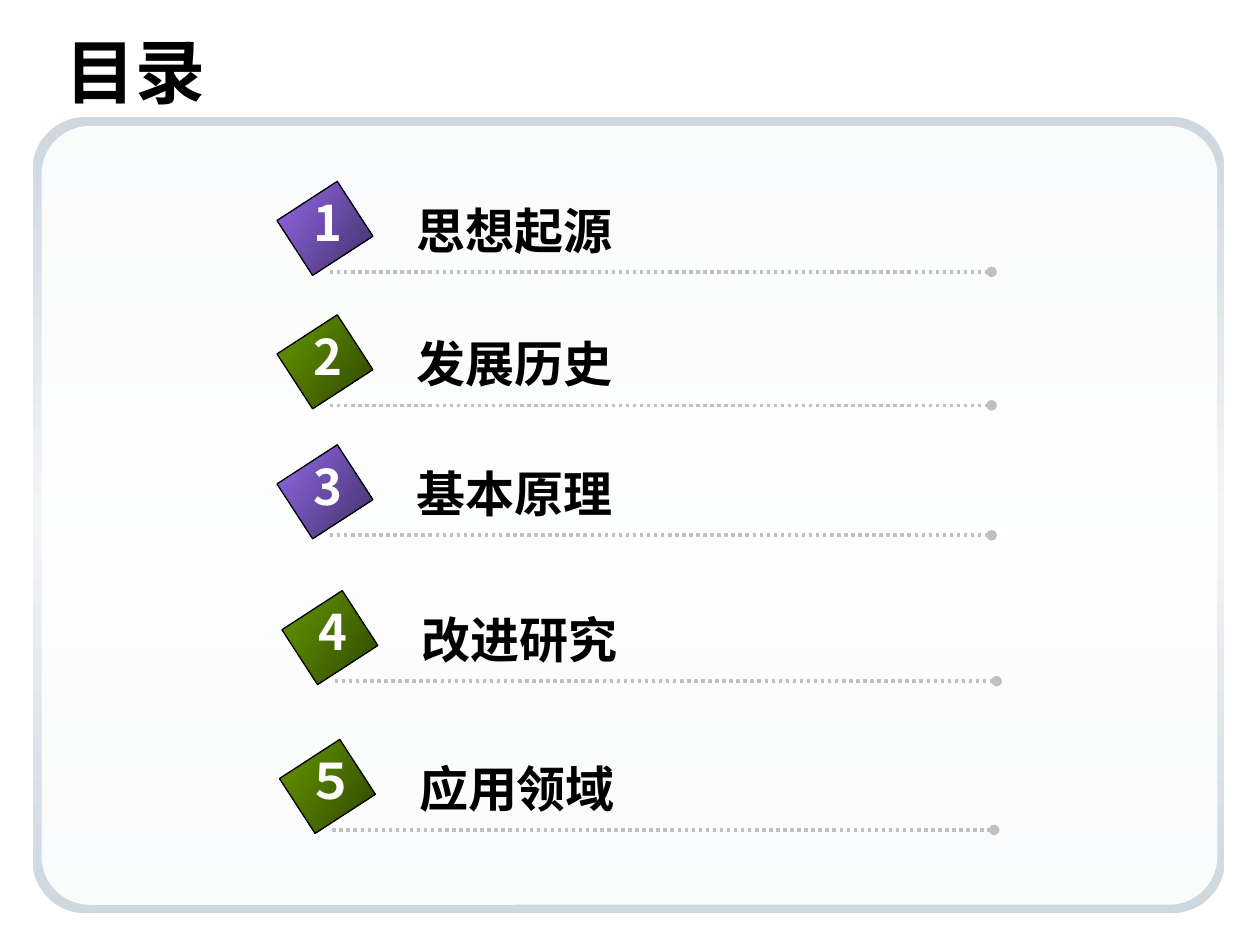
from lxml import etree
from pptx import Presentation
from pptx import util as u
from pptx.dml.color import RGBColor
from pptx.enum import dml, shapes, text
from pptx.oxml.ns import qn

BLACK = RGBColor(0x00, 0x00, 0x00)
WHITE = RGBColor(0xFF, 0xFF, 0xFF)
DOTS = RGBColor(0xC0, 0xC0, 0xC0)
FRAME = RGBColor(0xCF, 0xD7, 0xDF)
FRAME_LIGHT = RGBColor(0xF3, 0xF5, 0xF7)
PURPLE = (RGBColor(0x93, 0x69, 0xE7), RGBColor(0x43, 0x30, 0x6A))
GREEN = (RGBColor(0x66, 0x99, 0x00), RGBColor(0x2F, 0x46, 0x00))
SANS = "Noto Sans CJK SC"
SERIF = "Times New Roman"

# number, heading, colours, left and top of the row in cm
ROWS = [
    ("1", "思想起源", PURPLE, 5.89, 3.76),
    ("2", "发展历史", GREEN, 5.89, 6.45),
    ("3", "基本原理", PURPLE, 5.89, 9.07),
    ("4", "改进研究", GREEN, 5.99, 12.01),
    ("５", "应用领域", GREEN, 5.94, 15.01),
]


def fill_gradient(sp, colors, angle, rotates=True):
    """Spread the colours evenly; angle is clockwise from left to right."""
    sp.fill.gradient()
    sp.fill.gradient_angle = (360 - angle) % 360
    grad = sp._element.spPr.find(qn("a:gradFill"))
    grad.set("rotWithShape", "1" if rotates else "0")
    stops = grad.find(qn("a:gsLst"))
    for stop in list(stops):
        stops.remove(stop)
    for i, color in enumerate(colors):
        pos = 100000 * i // (len(colors) - 1)
        stop = etree.SubElement(stops, qn("a:gs"), pos=str(pos))
        etree.SubElement(stop, qn("a:srgbClr"), val=str(color))


def write(tf, content, size, color, font=SANS, align=text.PP_ALIGN.LEFT):
    tf.auto_size = text.MSO_AUTO_SIZE.NONE
    p = tf.paragraphs[0]
    p.alignment = align
    r = p.add_run()
    r.text = content
    r.font.size = u.Pt(size)
    r.font.bold = True
    r.font.name = font
    r.font.color.rgb = color
    etree.SubElement(r._r.get_or_add_rPr(), qn("a:ea"), typeface=SANS)


def add_label(parent, content, left, top, width, **fmt):
    tf = parent.add_textbox(u.Cm(left), u.Cm(top), u.Cm(width), u.Cm(1.45)).text_frame
    write(tf, content, 28, **fmt)
    tf.word_wrap = False


def add_panel(s, left, top, width, height, radius):
    sp = s.shapes.add_shape(shapes.MSO_SHAPE.ROUNDED_RECTANGLE,
                            u.Cm(left), u.Cm(top), u.Cm(width), u.Cm(height))
    sp.adjustments[0] = radius
    sp.shadow.inherit = False
    sp.line.fill.background()
    return sp


def add_frame(s):
    outer = add_panel(s, 0.66, 2.36, 24.03, 16.05, 0.066)
    fill_gradient(outer, (FRAME, FRAME_LIGHT, FRAME), 90)
    inner = add_panel(s, 0.84, 2.54, 23.7, 15.7, 0.062)
    inner.fill.solid()
    inner.fill.fore_color.rgb = WHITE
    color = inner._element.spPr.find(qn("a:solidFill"))[0]
    etree.SubElement(color, qn("a:alpha"), val="90000")


def add_dotted_line(parent, left, top, length):
    line = parent.add_connector(shapes.MSO_CONNECTOR.STRAIGHT, u.Cm(left), u.Cm(top),
                                u.Cm(left + length), u.Cm(top))
    line.line.color.rgb = DOTS
    line.line.width = u.Pt(2)
    line.line.dash_style = dml.MSO_LINE.ROUND_DOT
    etree.SubElement(line.line._get_or_add_ln(), qn("a:tailEnd"), type="oval")
    etree.SubElement(line._element.spPr, qn("a:effectLst"))


def add_diamond(parent, left, top, colors):
    sp = parent.add_shape(shapes.MSO_SHAPE.RECTANGLE,
                          u.Cm(left), u.Cm(top), u.Cm(1.32), u.Cm(1.45))
    sp.rotation = 57
    sp.shadow.inherit = False
    fill_gradient(sp, colors, 33, rotates=False)
    sp.line.color.rgb = BLACK
    sp.line.width = u.Pt(0.75)


def add_row(s, number, heading, colors, left, top):
    row = s.shapes.add_group_shape().shapes
    add_dotted_line(row, left + 0.76, top + 1.72, 13.34)
    add_diamond(row, left, top + 0.12, colors)
    add_label(row, heading, left + 2.26, top + 0.15, 4.45, color=BLACK)
    add_label(row, number, left, top, 1.45, color=WHITE, align=text.PP_ALIGN.CENTER)


def add_title(s, content):
    title = s.shapes.title
    title.left, title.top, title.width, title.height = map(u.Cm, (1.07, 0.64, 23.7, 1.57))
    title.text_frame.vertical_anchor = text.MSO_ANCHOR.MIDDLE
    write(title.text_frame, content, 40, BLACK, font=SERIF)


def main():
    prs = Presentation()
    prs.slide_width, prs.slide_height = u.Cm(25.4), u.Cm(19.05)
    s = prs.slides.add_slide(prs.slide_layouts[5])
    add_frame(s)
    add_title(s, "目录")
    for row in ROWS:
        add_row(s, *row)
    prs.save("out.pptx")


if __name__ == "__main__":
    main()
